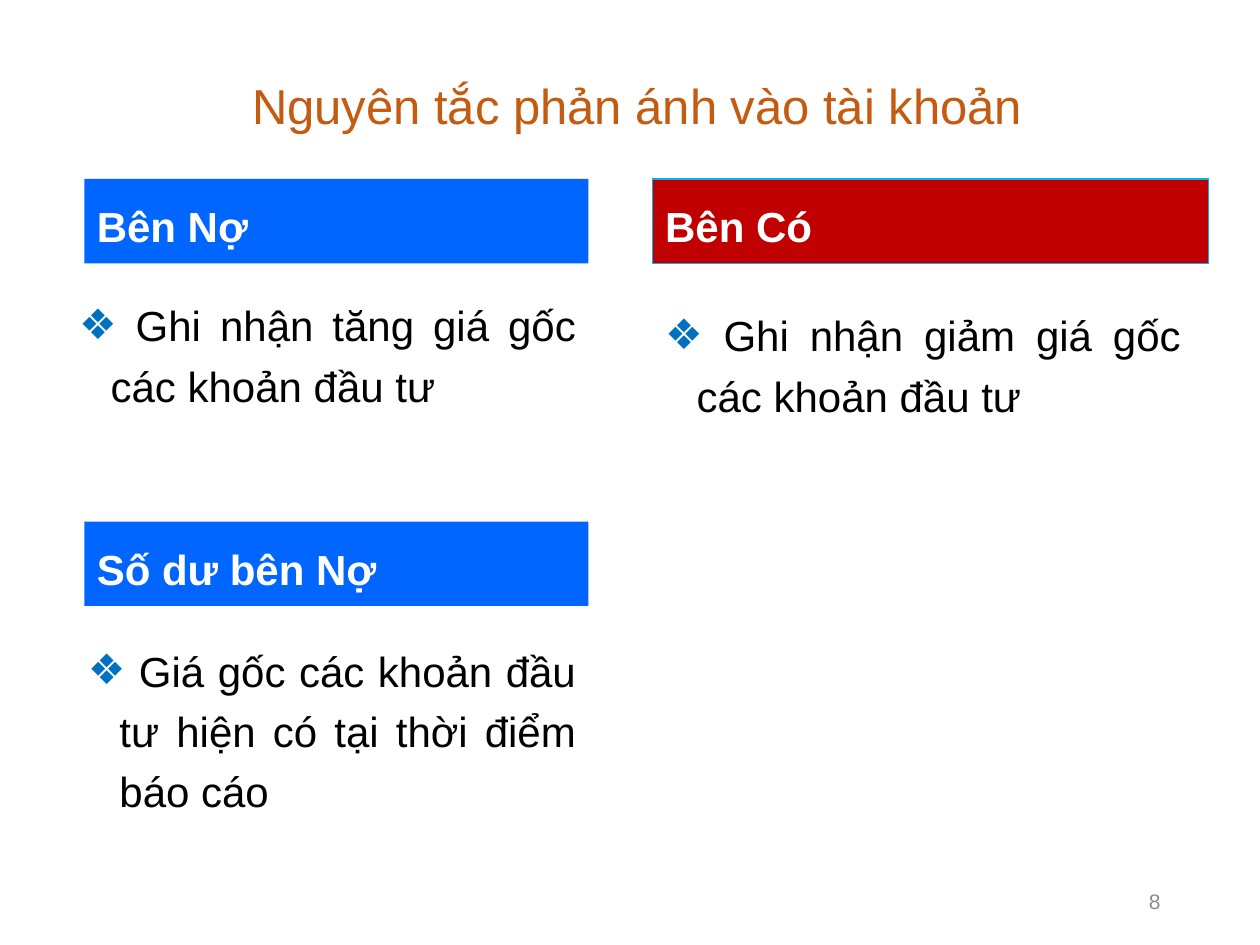
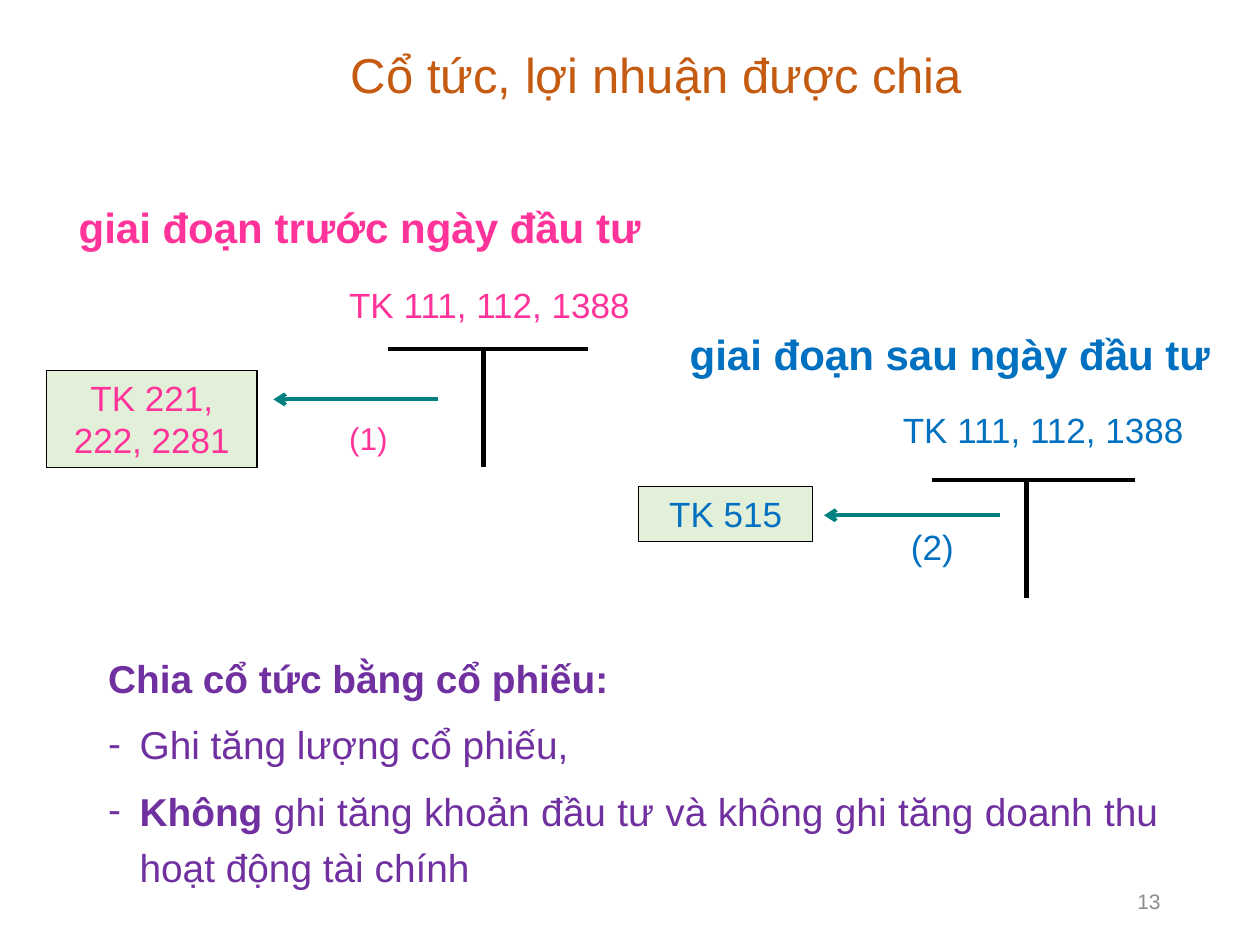
from lxml.etree import SubElement
from pptx import Presentation
from pptx.dml.color import RGBColor
from pptx.enum.shapes import MSO_CONNECTOR, MSO_SHAPE
from pptx.enum.text import MSO_ANCHOR, MSO_AUTO_SIZE, PP_ALIGN
from pptx.oxml.ns import qn
from pptx.util import Inches, Pt

COLS, ROWS = 100, 75
ORANGE, BLUE, RED, CYAN = "C55A11", "0066FF", "C00000", "00B0F0"
AZURE, PINK, PURPLE, TEAL = "0070C0", "FF3399", "7030A0", "008080"
PALE, GRAY, BLACK, WHITE = "E2F0D9", "8C8C8C", "000000", "FFFFFF"
LEFT, RIGHT, MID, JUST = PP_ALIGN.LEFT, PP_ALIGN.RIGHT, PP_ALIGN.CENTER, PP_ALIGN.JUSTIFY


def tint(color, value):
    color.rgb = RGBColor.from_string(value)


def apply(target, values):
    for name, value in values.items():
        setattr(target, name, value)


class Deck:
    """Holds the style and the slide being built; places are in grid units."""

    def __init__(self):
        self.show = Presentation()
        self.show.slide_width, self.show.slide_height = Inches(10), Inches(7.5)
        self.col = self.show.slide_width / COLS
        self.row = self.show.slide_height / ROWS

    def place(self, x, y, wide, high):
        """Turn a box, or the two end points of a line, into slide lengths."""
        return [round(n * unit) for n, unit in
                zip((x, y, wide, high), (self.col, self.row) * 2)]

    def page(self, title, number, spot, space):
        self.slide = self.show.slides.add_slide(self.show.slide_layouts[5])
        head = self.slide.shapes.title
        apply(head, dict(zip(("left", "top", "width", "height"), self.place(*spot))))
        self.label(head, [title], 28, ORANGE, MID, MSO_ANCHOR.MIDDLE, space=space)
        self.text((70.6, 69.5, 22.5, 4), [number], 12, GRAY, RIGHT, MSO_ANCHOR.MIDDLE)

    def label(self, shape, lines, size, color, align=MID, anchor=MSO_ANCHOR.TOP,
              bold=False, space=1.0, gap=0, mark=None, dot=None, first=0):
        """Fill a shape; a line is a string or a list of (text, bold) pairs.

        Lines from index `first` on get the bullet `mark` in colour `dot`.
        """
        frame = shape.text_frame
        apply(frame, {"word_wrap": True, "auto_size": MSO_AUTO_SIZE.NONE,
                      "vertical_anchor": anchor})
        for i, line in enumerate(lines):
            para = frame.add_paragraph() if i else frame.paragraphs[0]
            if mark and i >= first:
                self.bullet(para, mark, dot or color)
            apply(para, {"alignment": align, "line_spacing": space,
                         "space_before": Pt(gap if i else 0)})
            for words, heavy in [(line, bold)] if isinstance(line, str) else line:
                run = para.add_run()
                run.text = words
                apply(run.font, {"name": "Arial", "size": Pt(size), "bold": heavy})
                tint(run.font.color, color)

    def bullet(self, para, mark, color):
        props = para._p.get_or_add_pPr()
        indent = Inches(0.25)
        props.set("marL", str(indent))
        props.set("indent", str(-indent))
        SubElement(SubElement(props, qn("a:buClr")), qn("a:srgbClr"), val=color)
        SubElement(props, qn("a:buFont"), typeface="Arial")
        SubElement(props, qn("a:buChar"), char=mark)

    def text(self, spot, lines, *style, **more):
        self.label(self.slide.shapes.add_textbox(*self.place(*spot)), lines, *style, **more)

    def box(self, spot, words, fill, edge, *style, **more):
        shape = self.slide.shapes.add_shape(MSO_SHAPE.RECTANGLE, *self.place(*spot))
        shape.shadow.inherit = False
        shape.fill.solid()
        tint(shape.fill.fore_color, fill)
        if edge:
            tint(shape.line.color, edge)
            shape.line.width = Pt(0.75)
        else:
            shape.line.fill.background()
        self.label(shape, [words], *style, **more)

    def band(self, x, y, wide, words, fill, edge=None):
        self.box((x, y, wide, 6.7), words, fill, edge, 24, WHITE, LEFT,
                 MSO_ANCHOR.MIDDLE, bold=True, space=1.2)

    def point(self, spot, words):
        self.text(spot, [words], 24, BLACK, JUST, space=1.2, mark="❖", dot=AZURE)

    def line(self, start, end, color, width, arrow=False):
        link = self.slide.shapes.add_connector(
            MSO_CONNECTOR.STRAIGHT, *self.place(*start, *end))
        tint(link.line.color, color)
        link.line.width = Pt(width)
        if arrow:
            SubElement(link.line._get_or_add_ln(), qn("a:headEnd"), type="arrow")
        SubElement(link._element.spPr, qn("a:effectLst"))

    def entry(self, color, stage, name, tee, target, arrow, step):
        """Draw a T account with an arrow from it to the target account."""
        self.text(stage[0], [stage[1]], 24, color, bold=True)
        self.text(name, ["TK 111, 112, 1388"], 20, color)
        left, stem, right, top = tee
        self.line((stem, top), (stem, top + 9.35), BLACK, 2.75)
        self.line((left, top), (right, top), BLACK, 2.75)
        self.box(target[0], target[1], PALE, BLACK, 20, color)
        tip, tail, level = arrow
        self.line((tip, level), (tail, level), TEAL, 2.25, arrow=True)
        spot, words, size = step
        self.text(spot, [words], size, color)


def rules(deck):
    deck.page("Nguyên tắc phản ánh vào tài khoản", "8", (5.3, 4, 90.5, 7.7), 1.2)
    deck.band(6.7, 14.2, 40, "Bên Nợ", BLUE)
    deck.band(51.8, 14.2, 44.1, "Bên Có", RED, CYAN)
    deck.band(6.7, 41.4, 40, "Số dư bên Nợ", BLUE)
    deck.point((5.3, 22.5, 41.4, 14.3), " Ghi nhận tăng giá gốc các khoản đầu tư")
    deck.point((51.8, 23.3, 42.9, 14.3), " Ghi nhận giảm giá gốc các khoản đầu tư")
    deck.point((6, 49.9, 40.7, 19.1),
               " Giá gốc các khoản đầu tư hiện có tại thời điểm báo cáo")


def shares(deck):
    deck.page("Cổ tức, lợi nhuận được chia", "13", (6.9, 2.3, 90.4, 7.7), 0.9)
    deck.entry(PINK, ((3.6, 15.5, 49.9, 5), "giai đoạn trước ngày đầu tư"),
               name=(25.6, 22, 26.5, 4.4), tee=(30.8, 38.4, 46.7, 27.7),
               target=((3.7, 29.4, 16.7, 7.7), "TK 221, 222, 2281"),
               arrow=(21.7, 34.8, 31.7), step=((25.6, 32.8, 7.3, 4), "(1)", 18))
    deck.entry(AZURE, ((53.6, 25.6, 43.6, 5), "giai đoạn sau ngày đầu tư"),
               name=(69, 31.9, 27.6, 4.4), tee=(74, 81.5, 90.1, 38.1),
               target=((50.7, 38.6, 13.8, 4.4), "TK 515"),
               arrow=(65.4, 79.4, 40.9), step=((70.3, 41.2, 7.4, 4.4), "(2)", 20))
    deck.text((7.6, 50.7, 85.4, 21), [
        [("Chia cổ tức bằng cổ phiếu:", True)],
        "Ghi tăng lượng cổ phiếu,",
        [("Không", True), (" ghi tăng khoản đầu tư và không ghi tăng doanh thu "
                           "hoạt động tài chính", False)],
    ], 22.2, PURPLE, JUST, space=1.2, gap=6, mark="-", first=1)


def main():
    deck = Deck()
    rules(deck)
    shares(deck)
    deck.show.save("out.pptx")


if __name__ == "__main__":
    main()
